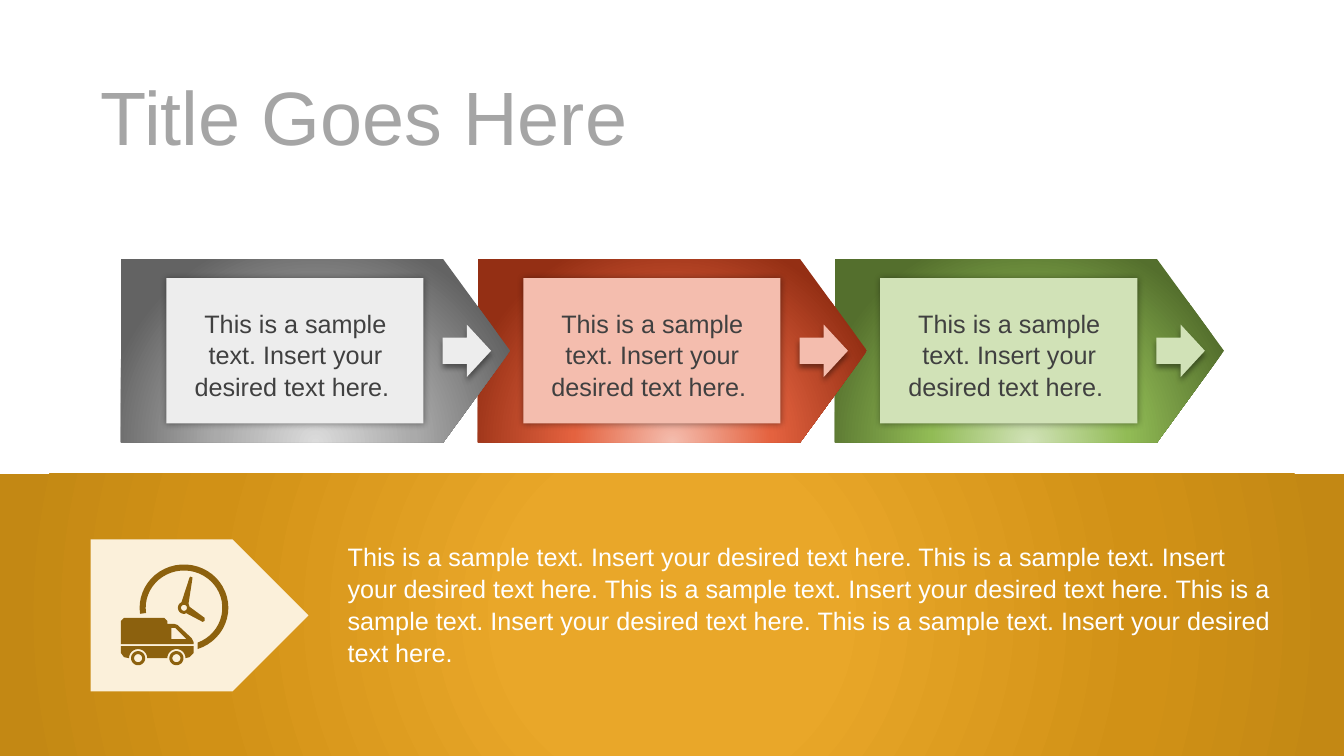
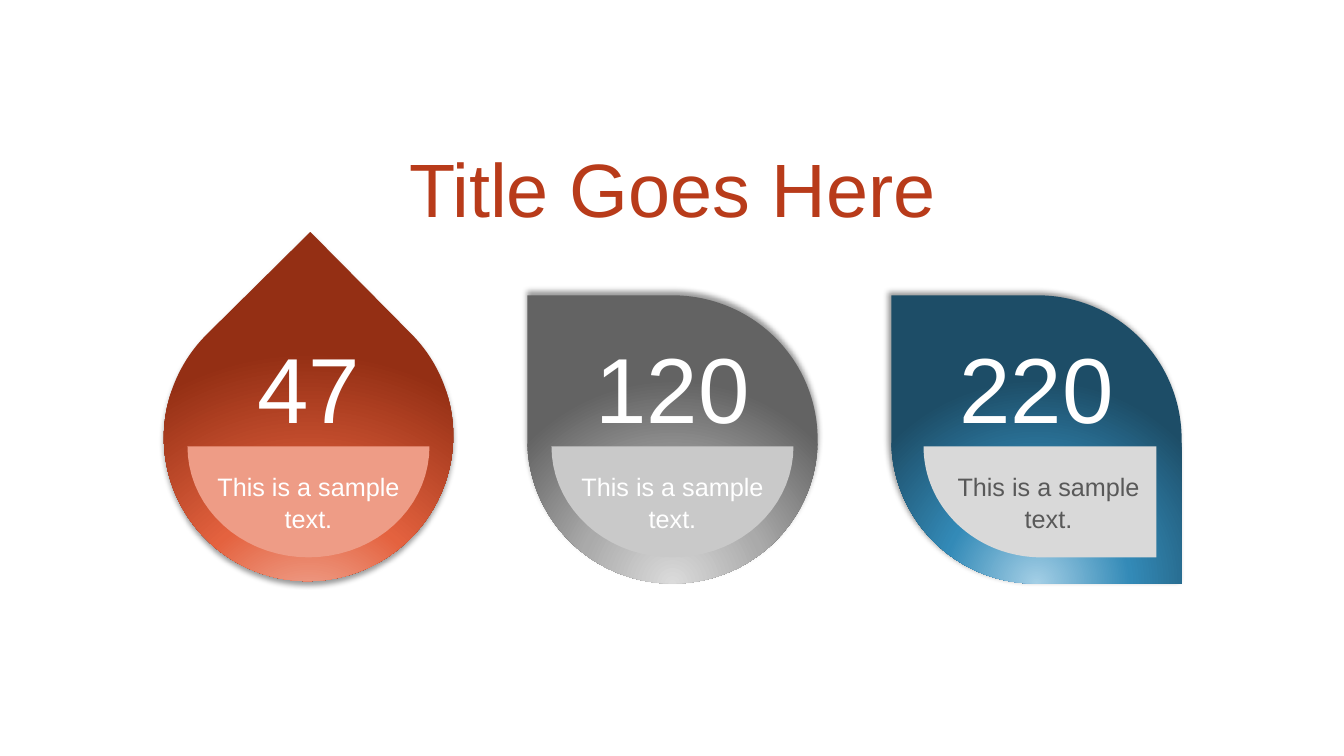
"""Build two infographic slides: a three-step process and three figure drops."""
from math import cos, radians, sin

from pptx import Presentation
from pptx.dml.color import RGBColor
from pptx.enum import shapes, text
from pptx.oxml import ns, parse_xml
from pptx.util import Inches, Pt

WHITE = RGBColor(0xFF, 0xFF, 0xFF)
BLACK = RGBColor(0, 0, 0)
DARK_TEXT = RGBColor(0x40, 0x40, 0x40)
MID_TEXT = RGBColor(0x59, 0x59, 0x59)
TITLE_GRAY = RGBColor(0xA5, 0xA5, 0xA5)
TITLE_RED = RGBColor(0xB8, 0x3B, 0x1A)
PALE_GRAY = RGBColor(0xED, 0xED, 0xED)
PALE_RED = RGBColor(0xF4, 0xBD, 0xAE)
PALE_GREEN = RGBColor(0xD1, 0xE2, 0xB7)
CREAM = RGBColor(0xFB, 0xF0, 0xDA)
BROWN = RGBColor(0x8C, 0x61, 0x0E)
CUP_RED = RGBColor(0xEE, 0x9C, 0x86)
CUP_GRAY = RGBColor(0xC9, 0xC9, 0xC9)
CUP_SILVER = RGBColor(0xD9, 0xD9, 0xD9)

AMBER = RGBColor(0xE9, 0xA7, 0x29)
GOLD = ((0, AMBER), (23, AMBER), (69, RGBColor(0xD1, 0x91, 0x16)), (97, RGBColor(0xC3, 0x88, 0x14)))
GRAY = ((0, RGBColor(0xDB, 0xDB, 0xDB)), (46, RGBColor(0xAA, 0xAA, 0xAA)), (100, RGBColor(0x63, 0x63, 0x63)))
RED = ((0, PALE_RED), (46, RGBColor(0xE4, 0x62, 0x3F)), (100, RGBColor(0x94, 0x2F, 0x14)))
GREEN = ((0, PALE_GREEN), (46, RGBColor(0x91, 0xBB, 0x55)), (100, RGBColor(0x54, 0x6F, 0x2D)))
BLUE = ((0, RGBColor(0xA4, 0xCF, 0xE6)), (46, RGBColor(0x33, 0x8A, 0xB7)), (100, RGBColor(0x1D, 0x4D, 0x67)))

SAMPLE = "This is a sample text."
SENTENCE = SAMPLE + " Insert your desired text here."
LEFT, CENTER = text.PP_ALIGN.LEFT, text.PP_ALIGN.CENTER
PRESET = shapes.MSO_SHAPE


def arc(cx, cy, rx, ry, start, stop, steps=36):
    """Return points along an ellipse, angles in degrees clockwise from the right."""
    angles = [radians(start + (stop - start) * i / steps) for i in range(steps + 1)]
    return [(cx + rx * cos(a), cy + ry * sin(a)) for a in angles]


def paint(shape, fill, shadow=None, focus=130):
    """Give a shape a plain or radial fill, no line, and an optional (blur, distance, angle) shadow."""
    shape.line.fill.background()
    shape.shadow.inherit = False
    properties = shape.element.spPr
    if isinstance(fill, RGBColor):
        shape.fill.solid()
        shape.fill.fore_color.rgb = fill
    else:
        shape.fill.background()
        stops = "".join(f'<a:gs pos="{pos * 1000}"><a:srgbClr val="{color}"/></a:gs>' for pos, color in fill)
        gradient = parse_xml(
            f'<a:gradFill {ns.nsdecls("a")} rotWithShape="0"><a:gsLst>{stops}</a:gsLst><a:path path="circle">'
            f'<a:fillToRect l="50000" t="{focus * 1000}" r="50000" b="{(100 - focus) * 1000}"/>'
            "</a:path></a:gradFill>")
        properties.replace(properties.find(ns.qn("a:noFill")), gradient)
    if shadow:
        blur, distance, angle = shadow
        properties.find(ns.qn("a:effectLst")).append(parse_xml(
            f'<a:outerShdw {ns.nsdecls("a")} blurRad="{Pt(blur)}" dist="{Pt(distance)}" dir="{angle * 60000}" '
            f'algn="ctr" rotWithShape="0"><a:srgbClr val="{BLACK}"><a:alpha val="40000"/></a:srgbClr></a:outerShdw>'))


prs = Presentation()
prs.slide_width, prs.slide_height = Inches(13.33), Inches(7.5)

pages = []
for left, top, color, align in ((0.9, 0.71, TITLE_GRAY, LEFT), (3.93, 1.42, TITLE_RED, CENTER)):
    page = prs.slides.add_slide(prs.slide_layouts[5])
    title = page.shapes.title
    title.left, title.top, title.width, title.height = map(Inches, (left, top, 5.48, 0.87))
    title.text_frame.text = "Title Goes Here"
    for key, value in {"auto_size": text.MSO_AUTO_SIZE.NONE, "vertical_anchor": text.MSO_ANCHOR.MIDDLE}.items():
        setattr(title.text_frame, key, value)
    heading = title.text_frame.paragraphs[0]
    heading.alignment = align
    heading.font.name, heading.font.size = "Arial", Pt(54)
    heading.font.color.rgb = color
    pages.append(page)
process, figures = pages

captions = [(process, (3.35, 5.31, 9.4, 1.32), " ".join([SENTENCE] * 5), 18, WHITE, LEFT)]

band = process.shapes.add_shape(PRESET.RECTANGLE, 0, Inches(4.7), prs.slide_width, Inches(2.8))
paint(band, GOLD, focus=50)
badge = process.shapes.add_shape(PRESET.PENTAGON, *map(Inches, (0.9, 5.35, 2.16, 1.51)))
paint(badge, CREAM)

steps = ((GRAY, PALE_GRAY), (RED, PALE_RED), (GREEN, PALE_GREEN))
for index, (gradient, pale) in reversed(list(enumerate(steps))):
    x = 1.2 + 3.54 * index
    for preset, at, fill, shadow in (
            (PRESET.PENTAGON, (x, 2.57, 3.86, 1.82), gradient, None),
            (PRESET.RECTANGLE, (x + 0.45, 2.76, 2.55, 1.44), pale, (5, 0, 0)),
            (PRESET.RIGHT_ARROW, (x + 3.19, 3.22, 0.48, 0.52), pale, (4, 3, 90))):
        part = process.shapes.add_shape(preset, *map(Inches, at))
        paint(part, fill, shadow)
        if preset == PRESET.PENTAGON:
            part.adjustments[0] = 0.365
            part.element.spPr.find(ns.qn("a:xfrm")).set("flipV", "1")
    captions.append((process, (x + 0.54, 2.99, 2.38, 1.01), SENTENCE + " ", 18, DARK_TEXT, CENTER))

clock = (1.825, 6.03)
wheels = ((1.75, 6.53), (1.37, 6.53))
ring = arc(*clock, 0.44, 0.43, 72, -188) + arc(*clock, 0.38, 0.37, -188, 69)
hands = [(1.88, 5.73), (1.89, 5.72), (1.91, 5.73), (1.87, 5.99), (1.88, 6.02), (2.03, 6.13), (2.03, 6.16),
         (2.01, 6.17), (1.84, 6.08)] + arc(*clock, 0.06, 0.06, 75, 245)
hub = arc(*clock, 0.03, 0.03, 0, 360)
van = [(1.2, 6.16), (1.23, 6.13), (1.63, 6.13), (1.66, 6.16), (1.66, 6.19), (1.73, 6.19), (1.76, 6.2),
       (1.9, 6.33), (1.92, 6.37), (1.92, 6.39), (1.2, 6.39)]
window = [(1.7, 6.23), (1.74, 6.23), (1.85, 6.34), (1.7, 6.34)]
chassis = [(1.23, 6.52), (1.2, 6.48), (1.2, 6.41), (1.92, 6.41), (1.92, 6.48), (1.88, 6.52)]
tyres = []
for wheel in wheels:
    chassis += arc(*wheel, 0.09, 0.09, 0, -180)
    tyres += [arc(*wheel, radius, radius, 0, 360) for radius in (0.07, 0.04)]
outlines = [(process, [ring, hands, hub, van, window, chassis, *tyres], BROWN)]

drops = (
    (PRESET.TEAR, 2.9, 315.3, False, RED, 90, "47", CUP_RED, WHITE, 0),
    (PRESET.TEAR, 2.93, 0, True, GRAY, 270, "120", CUP_GRAY, WHITE, 0),
    (PRESET.ROUND_2_DIAG_RECTANGLE, 2.93, 0, True, BLUE, 225, "220", CUP_SILVER, MID_TEXT, 0.12),
)
for index, (preset, top, turn, flip, gradient, angle, number, cup_color, ink, shift) in enumerate(drops):
    x = 1.62 + 3.61 * index
    middle = x + 1.44
    drop = figures.shapes.add_shape(preset, *map(Inches, (x, top, 2.88, 2.86)))
    drop.rotation = turn
    paint(drop, gradient, (4, 3, angle))
    if flip:
        drop.element.spPr.find(ns.qn("a:xfrm")).set("flipH", "1")
    cup = arc(middle, 4.43, 1.2, 1.1, 0, 180)
    if preset == PRESET.ROUND_2_DIAG_RECTANGLE:
        drop.adjustments[0] = 0.5
        cup = [(11.47, 4.43), (11.47, 5.53)] + arc(10.33, 4.43, 1.17, 1.1, 90, 180)
    outlines.append((figures, [cup], cup_color))
    captions += [
        (figures, (middle - 1.03, 3.24, 2.06, 1.21), number, 66, WHITE, CENTER),
        (figures, (middle - 1.03 + shift, 4.61, 2.06, 0.71), SAMPLE, 18, ink, CENTER),
    ]

for page, contours, color in outlines:
    pen = page.shapes.build_freeform(*map(Inches, contours[0][0]))
    for contour in contours:
        corners = [(Inches(x), Inches(y)) for x, y in contour]
        pen.move_to(*corners[0])
        pen.add_line_segments(corners[1:], close=True)
    paint(pen.convert_to_shape(), color)

for page, at, wording, size, color, align in captions:
    frame = page.shapes.add_textbox(*map(Inches, at)).text_frame
    frame.word_wrap = True
    frame.text = wording
    paragraph = frame.paragraphs[0]
    for key, value in {"alignment": align, "line_spacing": 1.05 if size == 18 else 1.0}.items():
        setattr(paragraph, key, value)
    for key, value in {"name": "Arial", "size": Pt(size)}.items():
        setattr(paragraph.font, key, value)
    paragraph.font.color.rgb = color

prs.save("out.pptx")
